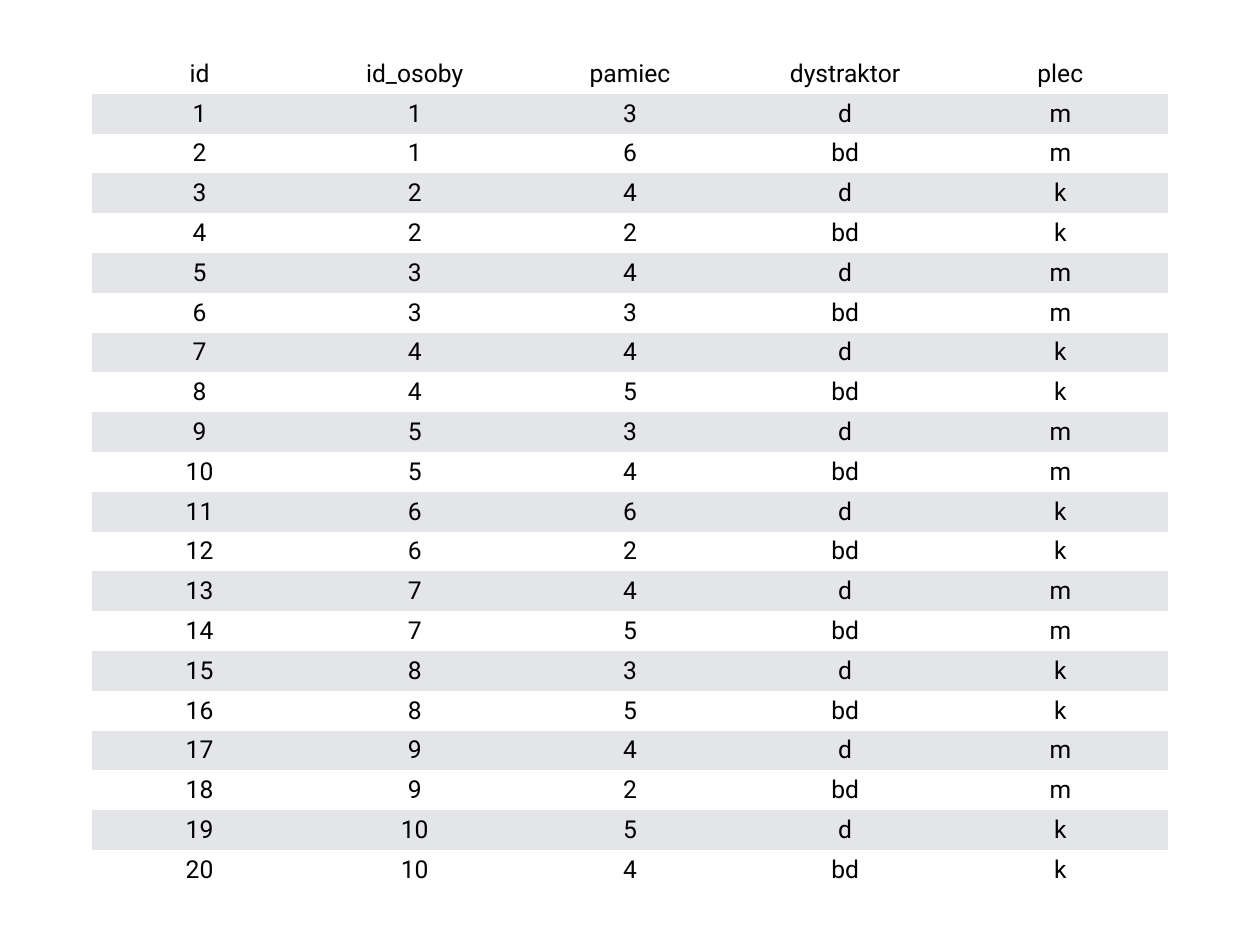
from dataclasses import dataclass

from pptx import Presentation
from pptx.dml.color import RGBColor
from pptx.enum.text import MSO_ANCHOR, PP_ALIGN
from pptx.util import Pt

EMU_PER_PIXEL = 914400 / 88.6
NO_GRID_STYLE = "{2D5ABB26-0587-4C30-8999-92F81FD0307C}"


@dataclass(frozen=True)
class Theme:
    """Colours, font and type size of the slide."""

    ink: RGBColor = RGBColor(0x00, 0x00, 0x00)
    paper: RGBColor = RGBColor(0xFF, 0xFF, 0xFF)
    band: RGBColor = RGBColor(0xE3, 0xE5, 0xE8)
    font: str = "Roboto"
    size: Pt = Pt(20)


def emu(pixels):
    """Turn pixels into EMU."""
    return round(pixels * EMU_PER_PIXEL)


class Page:
    """Holds the theme and the current slide."""

    def __init__(self, deck, theme):
        """Add a blank slide with a plain background."""
        self.theme = theme
        self.slide = deck.slides.add_slide(deck.slide_layouts[6])
        fill = self.slide.background.fill
        fill.solid()
        fill.fore_color.rgb = theme.paper

    def table(self, rows, left, top, width, height):
        """Add an even grid with every second row shaded."""
        frame = self.slide.shapes.add_table(
            len(rows), len(rows[0]), emu(left), emu(top), emu(width), emu(height))
        table = frame.table
        table.first_row = table.horz_banding = False
        table._tbl.tblPr.xpath("a:tableStyleId")[0].text = NO_GRID_STYLE
        for row_index, row in enumerate(rows):
            color = self.theme.band if row_index % 2 else self.theme.paper
            for column_index, value in enumerate(row):
                self.cell(table.cell(row_index, column_index), value, color)

    def cell(self, cell, value, color, inset=5):
        """Write one centred value on a filled cell."""
        cell.fill.solid()
        cell.fill.fore_color.rgb = color
        cell.vertical_anchor = MSO_ANCHOR.MIDDLE
        cell.margin_left = cell.margin_right = emu(inset)
        cell.margin_top = cell.margin_bottom = emu(inset)
        cell.text_frame.text = str(value)
        paragraph = cell.text_frame.paragraphs[0]
        paragraph.alignment = PP_ALIGN.CENTER
        font = paragraph.runs[0].font
        font.name, font.size = self.theme.font, self.theme.size
        font.color.rgb = self.theme.ink


def measurements(scores):
    """List two trials per person, with sexes alternating by person."""
    for index, score in enumerate(scores):
        person, trial = divmod(index, 2)
        yield index + 1, person + 1, score, ("d", "bd")[trial], "mk"[person % 2]


HEADER = ("id", "id_osoby", "pamiec", "dystraktor", "plec")
MEMORY_SCORES = (3, 6, 4, 2, 4, 3, 4, 5, 3, 4, 6, 2, 4, 5, 3, 5, 4, 2, 5, 4)

deck = Presentation()
deck.slide_width, deck.slide_height = emu(1260), emu(945)
page = Page(deck, Theme())
page.table([HEADER, *measurements(MEMORY_SCORES)], 92, 54, 1076, 836)
deck.save("out.pptx")
